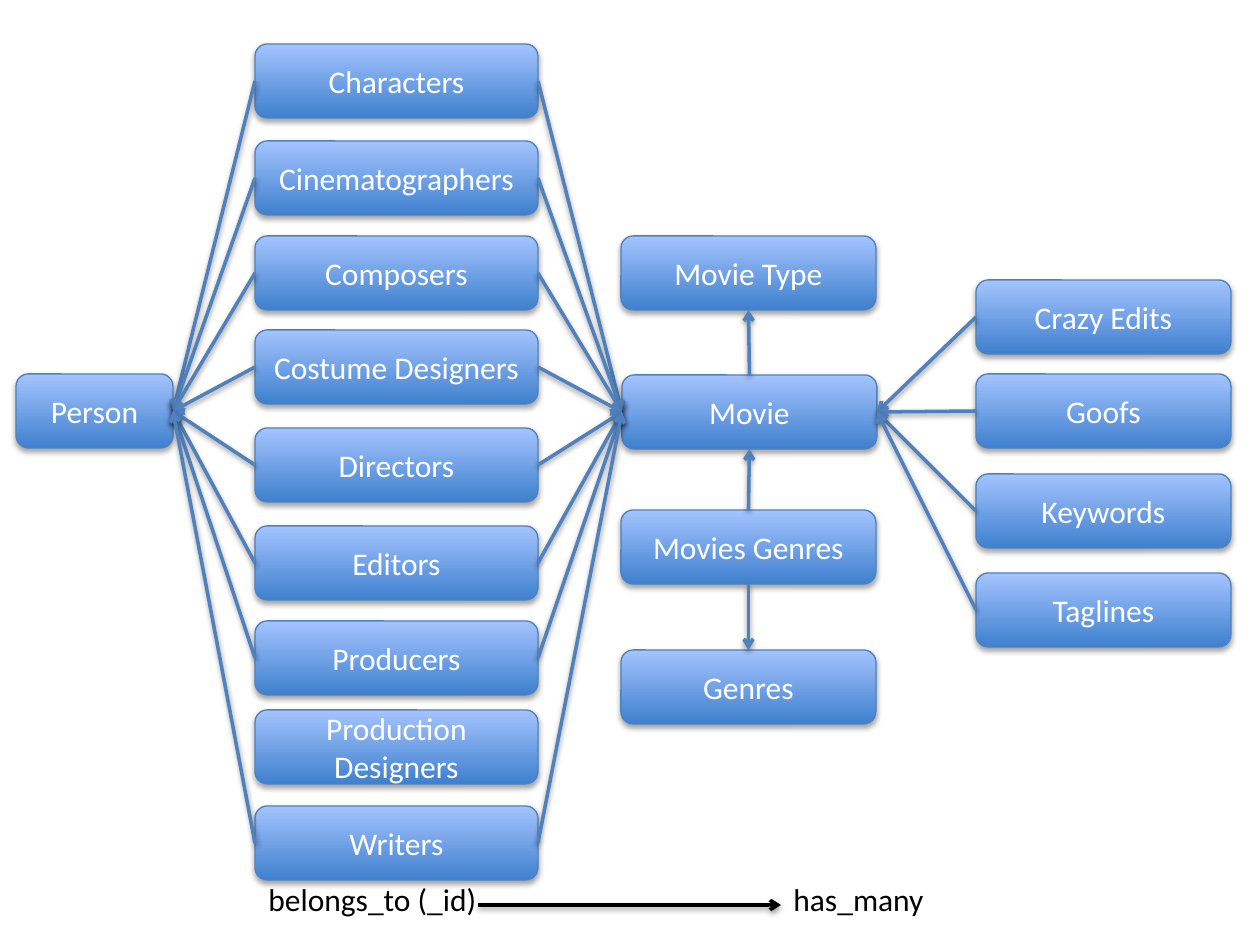
import pptx
import pptx.util
import pptx.dml.color
import pptx.enum.shapes
import pptx.enum.text
import pptx.oxml
import pptx.oxml.ns
from dataclasses import dataclass

PX = 914400 // 126
TOP, LEFT, BOTTOM, RIGHT = range(4)
Shape = pptx.enum.shapes.MSO_SHAPE
Align = pptx.enum.text.PP_ALIGN
Anchor = pptx.enum.text.MSO_ANCHOR


@dataclass(frozen=True)
class Theme:
    font: str = "Calibri"
    size: int = 18
    white: str = "FFFFFF"
    black: str = "000000"
    dark: str = "3F80CE"
    light: str = "A4C4FF"
    line: str = "4F81BD"
    edge: float = 0.75
    link: float = 2
    tall: int = 74


theme = Theme()


def emu(*vals):
    return [pptx.util.Emu(v * PX) for v in vals]


def rgb(color):
    return pptx.dml.color.RGBColor.from_string(color)


def write(frame, text, color=theme.black, align=Align.LEFT, anchor=Anchor.TOP, wrap=True):
    frame.word_wrap = wrap
    frame.vertical_anchor = anchor
    para = frame.paragraphs[0]
    para.alignment = align
    run = para.add_run()
    run.text = text
    run.font.name = theme.font
    run.font.size = pptx.util.Pt(theme.size)
    run.font.color.rgb = rgb(color)


def shade(shape, dist, alpha):
    space = pptx.oxml.ns.nsdecls("a")
    shape._element.spPr.append(pptx.oxml.parse_xml(
        f'<a:effectLst {space}><a:outerShdw blurRad="40000" dist="{dist}" '
        f'dir="5400000" rotWithShape="0"><a:srgbClr val="{theme.black}">'
        f'<a:alpha val="{alpha}"/></a:srgbClr></a:outerShdw></a:effectLst>'))


def node(slide, text, x, y, wide):
    shape = slide.shapes.add_shape(Shape.ROUNDED_RECTANGLE, *emu(x, y, wide, theme.tall))
    shape.fill.gradient()
    shape.fill.gradient_angle = 90
    for stop, color in zip(shape.fill.gradient_stops, (theme.dark, theme.light)):
        stop.color.rgb = rgb(color)
    shape.line.color.rgb = rgb(theme.line)
    shape.line.width = pptx.util.Pt(theme.edge)
    shade(shape, 23000, 35000)
    write(shape.text_frame, text, color=theme.white, align=Align.CENTER, anchor=Anchor.MIDDLE)
    return shape


def arrow(slide, ends=(0, 0, 0, 0), color=theme.line):
    line = slide.shapes.add_connector(pptx.enum.shapes.MSO_CONNECTOR.STRAIGHT, *emu(*ends))
    line.line.color.rgb = rgb(color)
    line.line.width = pptx.util.Pt(theme.link)
    tail = pptx.oxml.parse_xml(f'<a:tailEnd {pptx.oxml.ns.nsdecls("a")} type="arrow"/>')
    line.line._get_or_add_ln().append(tail)
    shade(line, 20000, 38000)
    return line


def join(slide, start, side, end, goal):
    line = arrow(slide)
    line.begin_connect(start, side)
    line.end_connect(end, goal)


def column(slide, box, items):
    x, y, wide = box
    return {text: node(slide, text, x, y + drop, wide) for text, drop in items.items()}


def legend(slide, box):
    x, y, wide, high = box
    arrow(slide, (x + 222, y + 31, x + 525, y + 31), theme.black)
    for text, left, width in (("belongs_to (_id)", 0, 236), ("has_many", 525, wide - 525)):
        label = slide.shapes.add_textbox(*emu(x + left, y, width, high))
        write(label.text_frame, text, wrap=False)


def diagram(slide, box):
    x, y = box
    person = node(slide, "Person", x, y + 330, 157)
    movie = node(slide, "Movie", x + 606, y + 331, 255)
    roles = column(slide, (x + 239, y, 283), {
        "Characters": 0, "Cinematographers": 97, "Composers": 192,
        "Costume Designers": 286, "Directors": 384, "Editors": 482,
        "Producers": 577, "Production Designers": 666, "Writers": 762})
    stack = column(slide, (x + 605, y + 192, 255), {
        "Movie Type": 0, "Movies Genres": 274, "Genres": 414})
    facts = column(slide, (x + 960, y + 236, 255), {
        "Crazy Edits": 0, "Goofs": 94, "Keywords": 194, "Taglines": 293})
    for text, role in roles.items():
        if text != "Production Designers":
            join(slide, role, LEFT, person, RIGHT)
            join(slide, role, RIGHT, movie, LEFT)
    for fact in facts.values():
        join(slide, fact, LEFT, movie, RIGHT)
    join(slide, movie, TOP, stack["Movie Type"], BOTTOM)
    join(slide, stack["Movies Genres"], TOP, movie, BOTTOM)
    join(slide, stack["Movies Genres"], BOTTOM, stack["Genres"], TOP)


deck = pptx.Presentation()
deck.slide_width, deck.slide_height = emu(1260, 945)
page = deck.slides.add_slide(deck.slide_layouts[6])
diagram(page, (16, 44))
legend(page, (256, 874, 683, 50))
deck.save("out.pptx")
